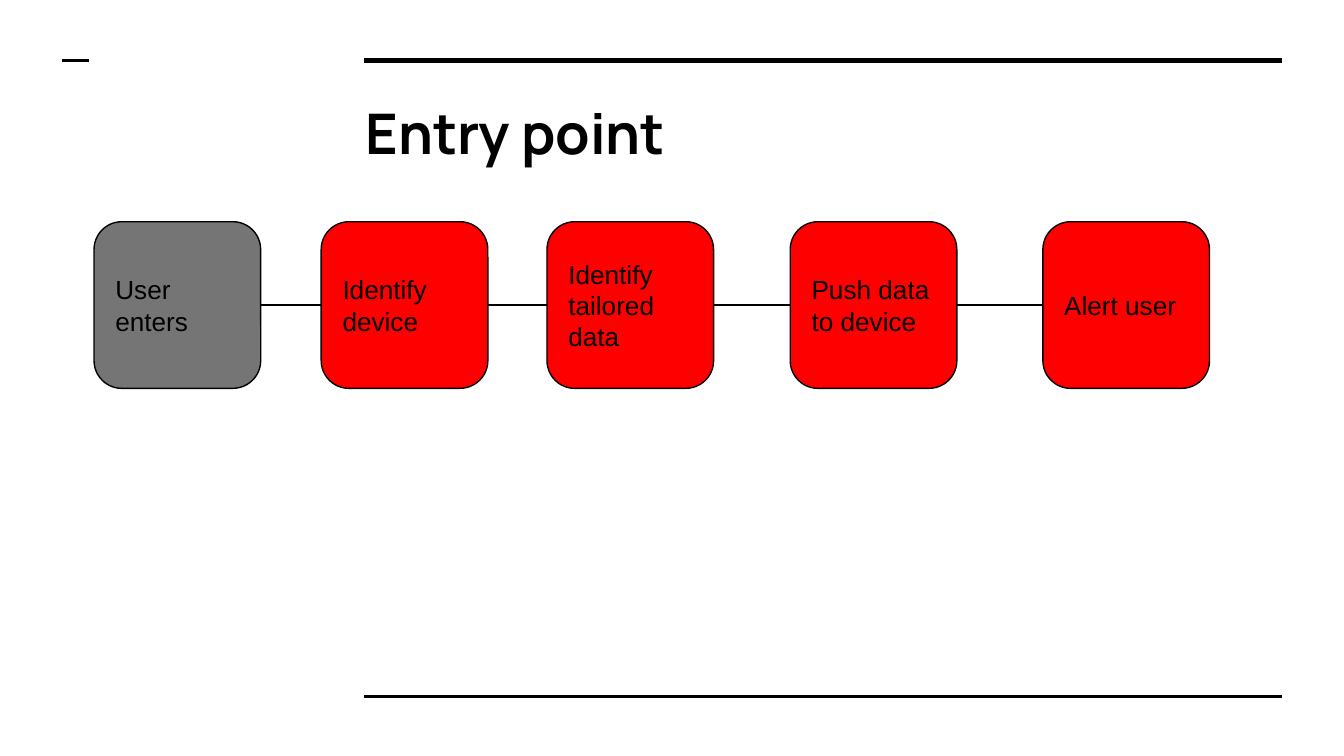
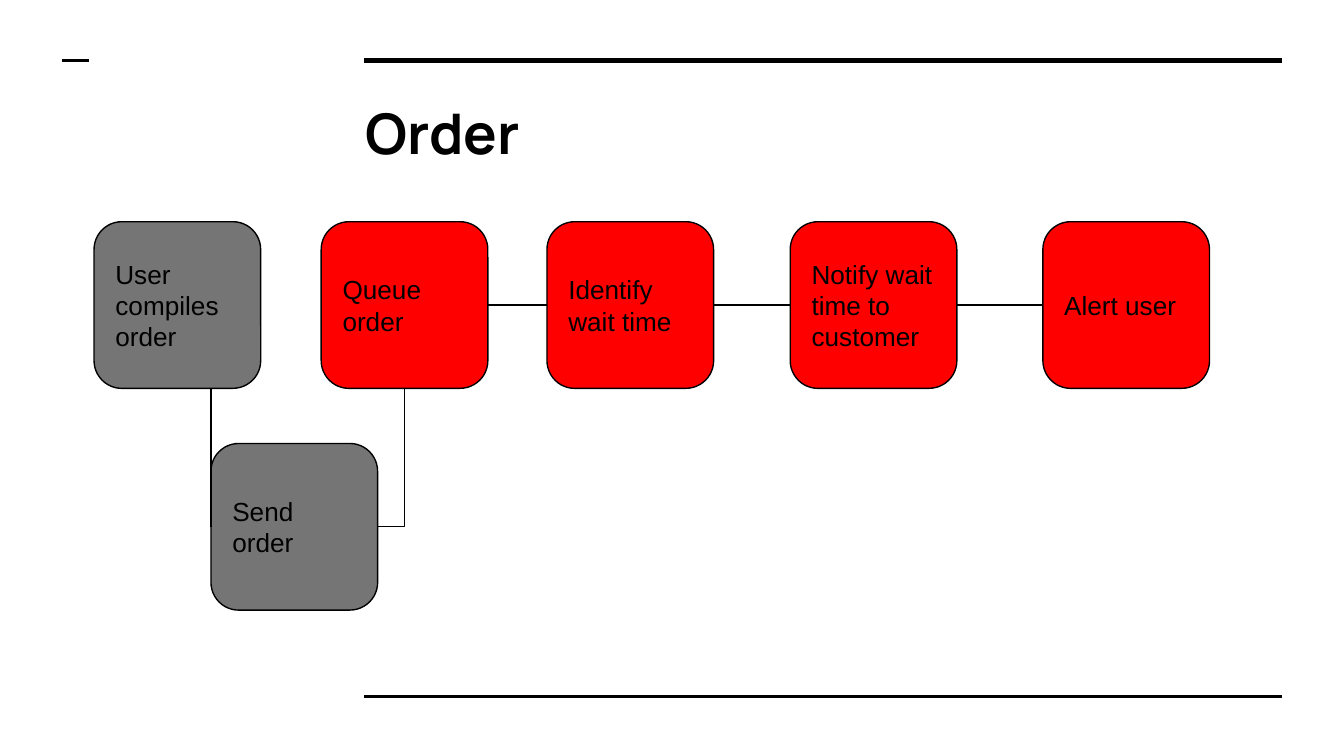
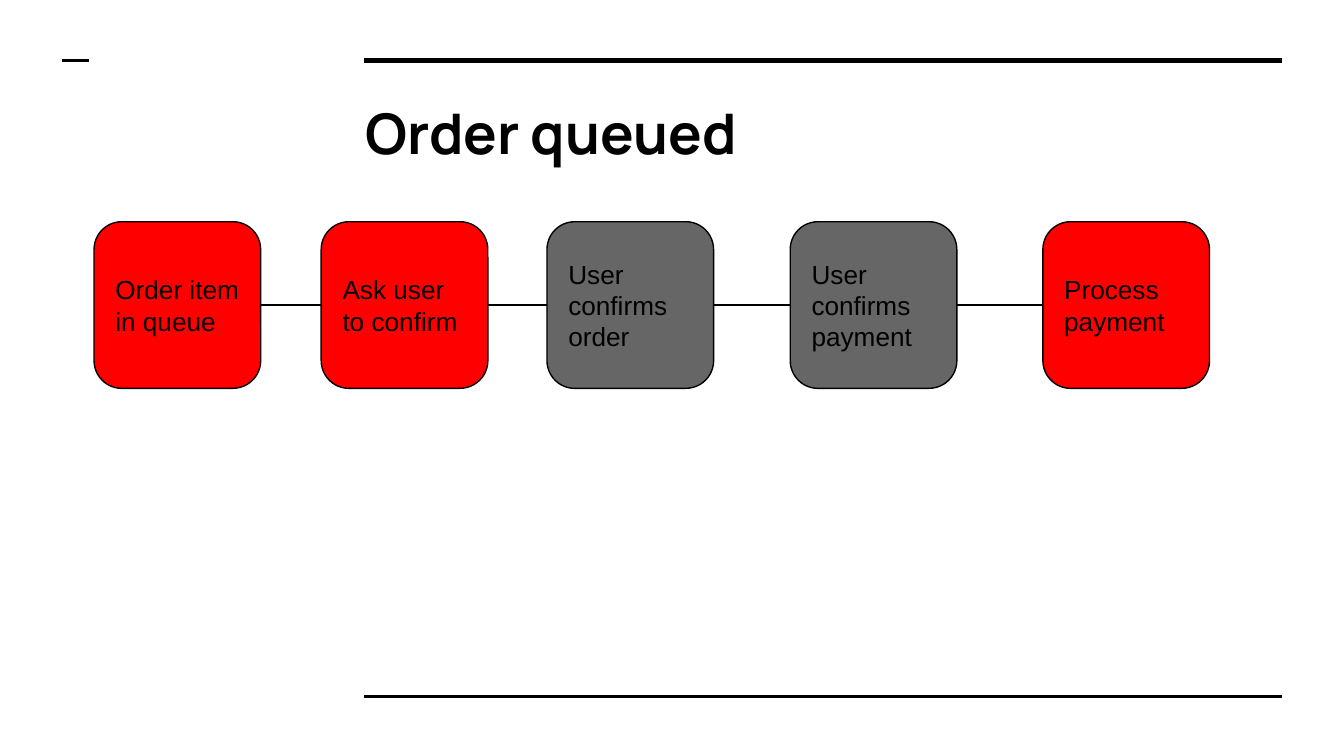
from itertools import pairwise

from lxml.etree import SubElement
from pptx import Presentation
from pptx.dml.color import RGBColor
from pptx.enum.shapes import MSO_CONNECTOR as LINK, MSO_SHAPE as SHAPE
from pptx.enum.text import MSO_ANCHOR as ANCHOR, PP_ALIGN as ALIGN
from pptx.oxml.ns import qn
from pptx.util import Inches, Pt

BLACK = "000000"
SYSTEM = "FF0000"
USER = "757575"
CONFIRM = "666666"

PAGE_SIZE = {"slide_width": Inches(10), "slide_height": Inches(10 * 9 / 16)}
TITLE_FONT = {"name": "Manrope", "size": Pt(30), "bold": True}
STEP_FONT = {"name": "Arial", "size": Pt(14), "bold": False}
MARGINS = {f"margin_{side}": Inches(0.1) for side in ("left", "top", "right", "bottom")}

TITLE_BOX = (2.62, 0.63, 6.91, 0.69)
FLOW_ORIGIN = (0.7, 1.65)
STEP_OFFSETS = (0, 1.69, 3.37, 5.18, 7.06)
STEP_SIZE = 1.24
SEND_OFFSET = (0.87, 1.65)
RULES = (
    (2.71, 9.54, 0.45, 3),
    (2.71, 9.54, 5.18, 1.5),
    (0.46, 0.66, 0.45, 1.5),
)

FLOWS = (
    ("Entry point", (
        ("User enters", USER),
        ("Identify device", SYSTEM),
        ("Identify tailored data", SYSTEM),
        ("Push data to device", SYSTEM),
        ("Alert user", SYSTEM),
    ), None),
    ("Order", (
        ("User compiles order", USER),
        ("Queue order", SYSTEM),
        ("Identify\nwait time", SYSTEM),
        ("Notify wait time to customer", SYSTEM),
        ("Alert user", SYSTEM),
    ), ("Send order", USER)),
    ("Order queued", (
        ("Order item in queue", SYSTEM),
        ("Ask user to confirm", SYSTEM),
        ("User confirms order", CONFIRM),
        ("User confirms payment", CONFIRM),
        ("Process payment", SYSTEM),
    ), None),
)


def color(value):
    return RGBColor.from_string(value)


def apply(target, values):
    for name, value in values.items():
        setattr(target, name, value)


def write(frame, text, font, anchor):
    apply(frame, {**MARGINS, "word_wrap": True, "vertical_anchor": anchor})
    frame.text = text
    for para in frame.paragraphs:
        para.alignment = ALIGN.LEFT
        for span in para.runs:
            apply(span.font, font)
            span.font.color.rgb = color(BLACK)


def add_line(page, kind, start, end, width):
    line = page.shapes.add_connector(kind, *map(Inches, (*start, *end)))
    line.line.color.rgb = color(BLACK)
    line.line.width = Pt(width)
    SubElement(line._element.spPr, qn("a:effectLst"))
    return line


def add_frame(page, title):
    for left, right, top, width in RULES:
        add_line(page, LINK.STRAIGHT, (left, top), (right, top), width)
    box = page.shapes.add_textbox(*map(Inches, TITLE_BOX))
    write(box.text_frame, title, TITLE_FONT, ANCHOR.TOP)


def add_step(page, left, top, text, fill):
    step = page.shapes.add_shape(
        SHAPE.ROUNDED_RECTANGLE, *map(Inches, (left, top, STEP_SIZE, STEP_SIZE)))
    step.shadow.inherit = False
    step.fill.solid()
    step.fill.fore_color.rgb = color(fill)
    step.line.color.rgb = color(BLACK)
    step.line.width = Pt(0.75)
    write(step.text_frame, text, STEP_FONT, ANCHOR.MIDDLE)
    return step


def add_corner(page, start, end):
    corner = add_line(page, LINK.ELBOW, start, end, 0.75)
    corner._element.spPr.find(qn("a:prstGeom")).set("prst", "bentConnector2")


def add_detour(page, left, top, text, fill):
    send_left, send_top = left + SEND_OFFSET[0], top + SEND_OFFSET[1]
    add_step(page, send_left, send_top, text, fill)
    half = STEP_SIZE / 2
    bottom = top + STEP_SIZE
    middle = send_top + half
    add_corner(page, (left + half, bottom), (send_left, middle))
    add_corner(page, (send_left + STEP_SIZE, middle),
               (left + STEP_OFFSETS[1] + half, bottom))


def add_flow(page, left, top, steps, detour):
    boxes = [add_step(page, left + offset, top, *step)
             for offset, step in zip(STEP_OFFSETS, steps)]
    if detour:
        add_detour(page, left, top, *detour)
    for before, after in list(pairwise(boxes))[1 if detour else 0:]:
        link = add_line(page, LINK.ELBOW, (left, top), (left, top), 0.75)
        link.begin_connect(before, 3)
        link.end_connect(after, 1)


def main():
    deck = Presentation()
    apply(deck, PAGE_SIZE)
    for title, steps, detour in FLOWS:
        page = deck.slides.add_slide(deck.slide_layouts[6])
        add_frame(page, title)
        add_flow(page, *FLOW_ORIGIN, steps, detour)
    deck.save("out.pptx")


if __name__ == "__main__":
    main()
